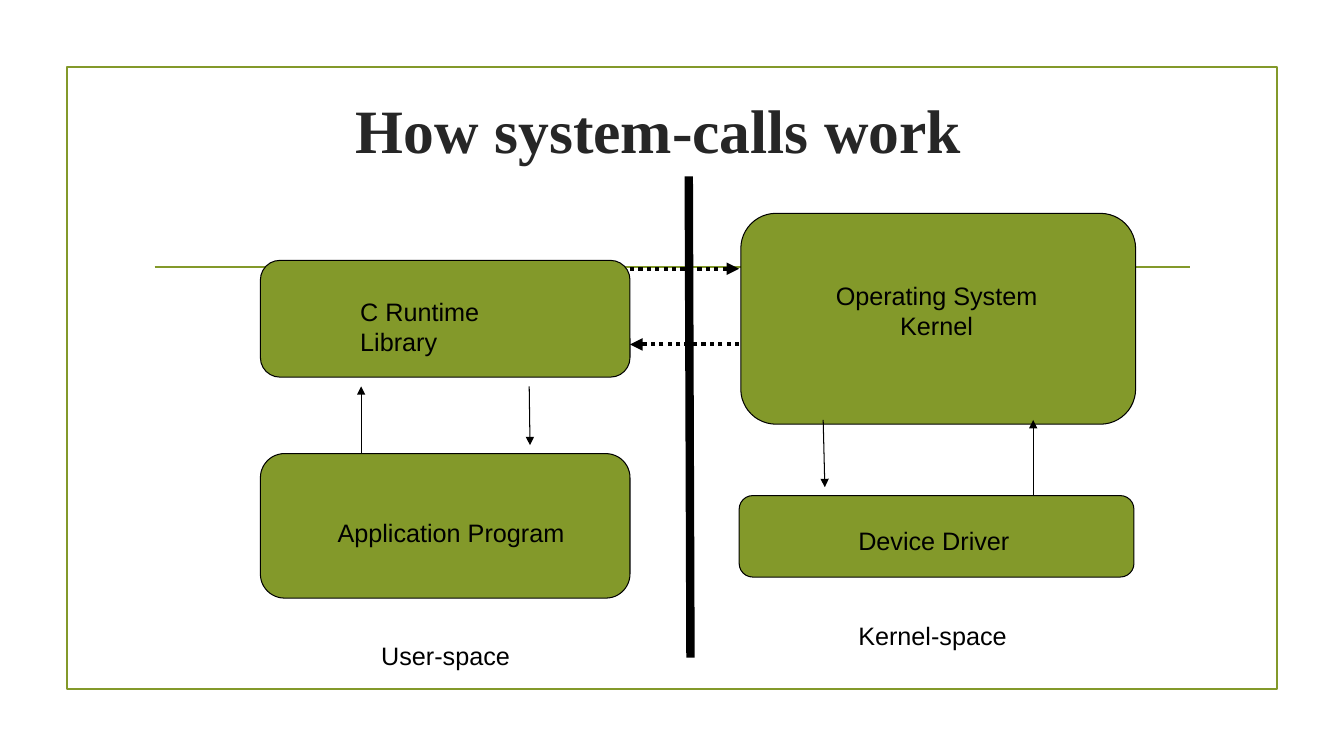
from lxml.etree import SubElement
from pptx import Presentation
from pptx.dml.color import RGBColor
from pptx.enum.dml import MSO_LINE_DASH_STYLE as Dash
from pptx.enum.shapes import MSO_CONNECTOR as Connector, MSO_SHAPE as Shape
from pptx.enum.text import MSO_ANCHOR as Anchor, PP_ALIGN as Align
from pptx.oxml.ns import qn
from pptx.util import Inches, Pt

COLORS = {"green": "83992A", "black": "000000", "title": "262626"}
COLUMNS, ROWS = 160, 90
CELL = Inches(1 / 12)  # one grid column or row


def grid(*lengths):
    return [round(length * CELL) for length in lengths]


def color(name):
    return RGBColor.from_string(COLORS[name])


def add_box(slide, shape_type, place, line, weight, fill=None):
    shape = slide.shapes.add_shape(shape_type, *grid(*place))
    shape.shadow.inherit = False
    if fill:
        shape.fill.solid()
        shape.fill.fore_color.rgb = color(fill)
    else:
        shape.fill.background()
    shape.line.color.rgb = color(line)
    shape.line.width = Pt(weight)


def add_text(slide, place, text, size=18, font="Arial", ink="black",
             bold=False, align=Align.LEFT, anchor=Anchor.TOP):
    frame = slide.shapes.add_textbox(*grid(*place)).text_frame
    frame.word_wrap = True
    frame.vertical_anchor = anchor
    frame.text = text
    for paragraph in frame.paragraphs:
        paragraph.alignment = align
        paragraph.font.size = Pt(size)
        paragraph.font.name = font
        paragraph.font.bold = bold
        paragraph.font.color.rgb = color(ink)


def add_line(slide, ends, ink="black", weight=0.75, dash=None, arrow=False):
    connector = slide.shapes.add_connector(Connector.STRAIGHT, *grid(*ends))
    connector.line.color.rgb = color(ink)
    connector.line.width = Pt(weight)
    if dash:
        connector.line.dash_style = dash
    if arrow:
        SubElement(connector.line._get_or_add_ln(), qn("a:tailEnd"), type="triangle")
    SubElement(connector._element.spPr, qn("a:effectLst"))


def main():
    presentation = Presentation()
    presentation.slide_width, presentation.slide_height = grid(COLUMNS, ROWS)
    slide = presentation.slides.add_slide(presentation.slide_layouts[6])

    # Frame, rule and title
    add_box(slide, Shape.RECTANGLE, (8, 8, 144, 74), "green", 1.25)
    add_line(slide, (18.4, 31.8, 141.7, 31.8), "green", 1.25)
    add_text(slide, (33.8, 6.7, 89.3, 17.2), "How system-calls work", size=44,
             font="Times New Roman", ink="title", bold=True,
             align=Align.CENTER, anchor=Anchor.MIDDLE)

    # Components on both sides of the divider
    components = [
        (31, 31, 44, 13.9),      # C library
        (88.2, 25.4, 47, 25.1),  # kernel
        (31, 54, 44, 17.2),      # application
        (88, 59, 47, 9.7),       # driver
    ]
    for place in components:
        add_box(slide, Shape.ROUNDED_RECTANGLE, place, "black", 0.75, "green")
    add_line(slide, (82, 21, 82.2, 78.3), weight=6)

    # Labels
    add_text(slide, (39, 61, 29.4, 4.8), "Application Program")
    add_text(slide, (44.2, 75.6, 17.8, 4.8), "User-space")
    add_text(slide, (101, 73.2, 27.1, 4.8), "Kernel-space")
    add_text(slide, (41.7, 34.7, 21.2, 8.5), "C Runtime Library")
    add_text(slide, (98, 32.8, 27, 8.4), "Operating System\nKernel",
             align=Align.CENTER)
    add_text(slide, (101, 62, 20.4, 4.8), "Device Driver")

    # Calls and returns within each space
    for ends in [(43, 54, 43, 46), (63, 46, 63.1, 53),
                 (98, 50, 98.2, 58), (123, 59, 123, 50)]:
        add_line(slide, ends, arrow=True)

    # Calls and returns across the divider
    for ends in [(75, 32, 88, 32), (88, 41, 75, 41)]:
        add_line(slide, ends, weight=3, dash=Dash.ROUND_DOT, arrow=True)

    presentation.save("out.pptx")


if __name__ == "__main__":
    main()
